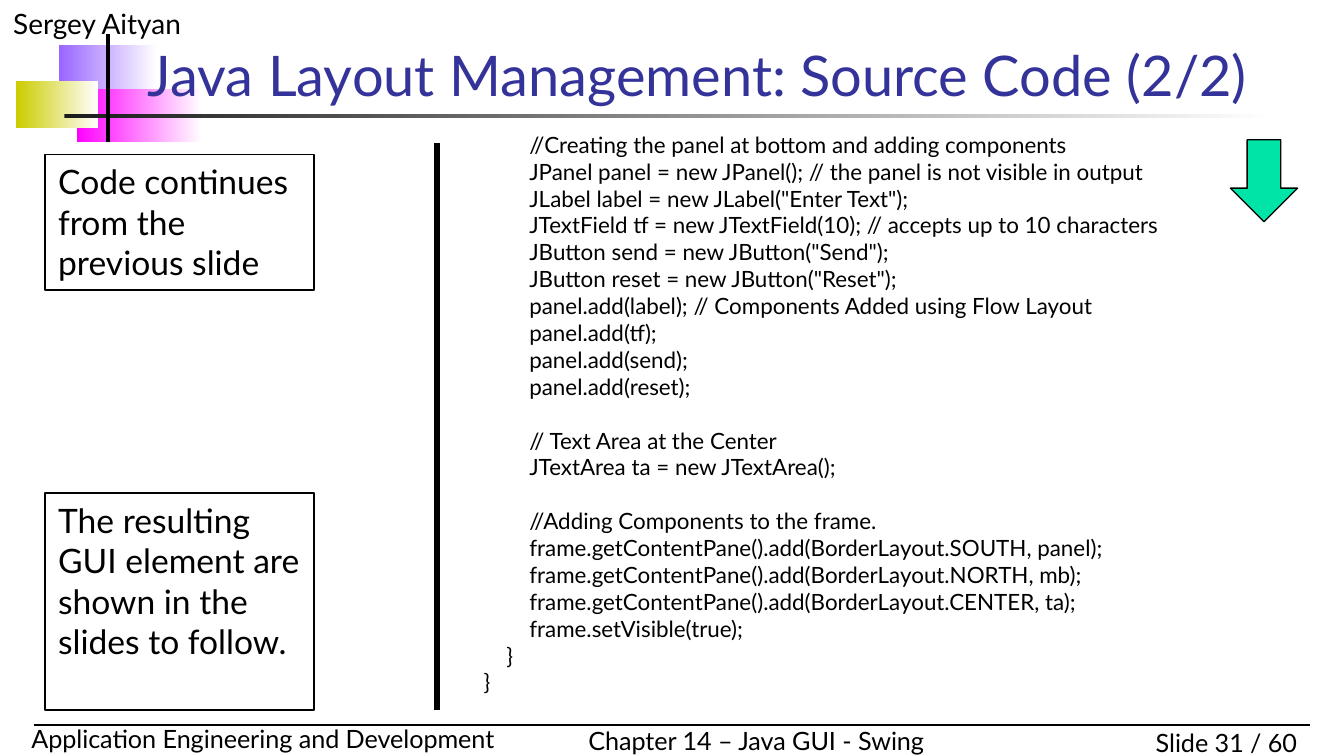
import lxml.etree
import pptx
import pptx.dml.color
import pptx.enum.shapes
import pptx.enum.text
import pptx.oxml.ns
import pptx.util

PX = 4572
FONT = "Lato"
BLACK = pptx.dml.color.RGBColor(0x00, 0x00, 0x00)
WHITE = pptx.dml.color.RGBColor(0xFF, 0xFF, 0xFF)
TITLE_BLUE = pptx.dml.color.RGBColor(0x33, 0x33, 0x99)
VIOLET = pptx.dml.color.RGBColor(0x99, 0x66, 0xFF)
MAGENTA = pptx.dml.color.RGBColor(0xFF, 0x00, 0xFF)
OLIVE = pptx.dml.color.RGBColor(0xCC, 0xCC, 0x00)
CHARCOAL = pptx.dml.color.RGBColor(0x1C, 0x1C, 0x1C)
ARROW_GREEN = pptx.dml.color.RGBColor(0x00, 0xE4, 0xA8)
SHAPES = pptx.enum.shapes.MSO_SHAPE
ALIGN = pptx.enum.text.PP_ALIGN
ANCHOR = pptx.enum.text.MSO_ANCHOR

CODE_BLOCKS = [
    [
        (2, "//Creating the panel at bottom and adding components"),
        (2, "JPanel panel = new JPanel(); // the panel is not visible in output"),
        (2, 'JLabel label = new JLabel("Enter Text");'),
        (2, "JTextField tf = new JTextField(10); // accepts up to 10 characters"),
        (2, 'JButton send = new JButton("Send");'),
        (2, 'JButton reset = new JButton("Reset");'),
        (2, "panel.add(label); // Components Added using Flow Layout"),
        (2, "panel.add(tf);"),
        (2, "panel.add(send);"),
        (2, "panel.add(reset);"),
    ],
    [
        (2, "// Text Area at the Center"),
        (2, "JTextArea ta = new JTextArea();"),
    ],
    [
        (2, "//Adding Components to the frame."),
        (2, "frame.getContentPane().add(BorderLayout.SOUTH, panel);"),
        (2, "frame.getContentPane().add(BorderLayout.NORTH, mb);"),
        (2, "frame.getContentPane().add(BorderLayout.CENTER, ta);"),
        (2, "frame.setVisible(true);"),
        (1, "}"),
        (0, "}"),
    ],
]


def emu(*lengths):
    """Turn px lengths into EMU."""
    return [pptx.util.Emu(length * PX) for length in lengths]


def add_run(paragraph, text, size, color=BLACK):
    """Add one formatted run to a paragraph."""
    run = paragraph.add_run()
    run.text = text
    run.font.name = FONT
    run.font.size = pptx.util.Pt(size)
    run.font.color.rgb = color


def add_text(slide, box, text, size, align=ALIGN.LEFT):
    """Add a wrapping text box with one paragraph and return it."""
    shape = slide.shapes.add_textbox(*emu(*box))
    shape.text_frame.word_wrap = True
    paragraph = shape.text_frame.paragraphs[0]
    paragraph.alignment = align
    add_run(paragraph, text, size)
    return shape


def add_line(slide, start, end, width):
    """Add a straight black line without a shadow."""
    line = slide.shapes.add_connector(
        pptx.enum.shapes.MSO_CONNECTOR.STRAIGHT, *emu(*start, *end))
    line.line.color.rgb = BLACK
    line.line.width = pptx.util.Pt(width)
    properties = line.element.find(pptx.oxml.ns.qn("p:spPr"))
    lxml.etree.SubElement(properties, pptx.oxml.ns.qn("a:effectLst"))


def add_fading_bar(slide, box, color):
    """Add a borderless bar that fades from a colour to white."""
    bar = slide.shapes.add_shape(SHAPES.RECTANGLE, *emu(*box))
    bar.shadow.inherit = False
    bar.line.fill.background()
    bar.fill.gradient()
    bar.fill.gradient_angle = 0
    for stop, stop_color in zip(bar.fill.gradient_stops, (color, WHITE)):
        stop.color.rgb = stop_color


def add_header(slide, left, top):
    """Place the author, the fading bars, the upright rule and the title."""
    for (x, y, width, height), color in (
        ((88, 67, 146, 78), VIOLET),
        ((114, 133, 186, 78), MAGENTA),
        ((24, 121, 122, 70), OLIVE),
        ((96, 170, 1800, 5), CHARCOAL),
    ):
        add_fading_bar(slide, (left + x, top + y, width, height), color)
    add_text(slide, (left, top, 500, 70), "Sergey Aityan", 15)
    add_line(slide, (left + 161, top + 51), (left + 161, top + 211), 2)

    title = slide.shapes.title
    title.left, title.top, title.width, title.height = emu(left + 200, top + 62, 1750, 108)
    frame = title.text_frame
    frame.auto_size = pptx.enum.text.MSO_AUTO_SIZE.NONE
    frame.vertical_anchor = ANCHOR.BOTTOM
    frame.paragraphs[0].alignment = ALIGN.LEFT
    add_run(frame.paragraphs[0], "Java Layout Management: Source Code (2/2)", 30, TITLE_BLUE)
    slide.shapes.element.append(title.element)


def add_footer(slide, left, top, width):
    """Place the footer rule with course, chapter and slide number."""
    add_line(slide, (left, top), (left + width, top), 0.75)
    add_text(slide, (left - 23, top - 12, 740, 66),
             "Application Engineering and Development", 13.5)
    add_text(slide, (left + 806, top - 9, 612, 66), "Chapter 14 – Java GUI - Swing", 13.5)
    add_text(slide, (left + width - 300, top - 6, 300, 66),
             "Slide 31 / 60", 13.5, ALIGN.RIGHT)


def add_code(slide, box):
    """Place the code listing, indented by level and spaced by block."""
    size, indent = 12, 34
    shape = slide.shapes.add_textbox(*emu(*box))
    frame = shape.text_frame
    frame.word_wrap = True
    paragraph = None
    for block in CODE_BLOCKS:
        for index, (level, text) in enumerate(block):
            is_first = paragraph is None
            paragraph = frame.paragraphs[0] if is_first else frame.add_paragraph()
            if index == 0 and not is_first:
                paragraph.space_before = pptx.util.Pt(size * 1.2)
            properties = paragraph._p.get_or_add_pPr()
            properties.set("marL", str(level * indent * PX))
            properties.set("indent", "0")
            add_run(paragraph, text, size)


def add_notes(slide, left, top, bottom):
    """Place the two outlined remarks at the top and bottom of the left column."""
    for y, height, text in (
        (top, 202, "Code continues from the previous slide"),
        (bottom - 323, 323, "The resulting GUI element are shown in the slides to follow."),
    ):
        note = add_text(slide, (left, y, 400, height), text, 18)
        note.line.color.rgb = BLACK
        note.line.width = pptx.util.Pt(1)


def add_down_arrow(slide, box):
    """Place the green arrow pointing down."""
    arrow = slide.shapes.add_shape(SHAPES.DOWN_ARROW, *emu(*box))
    arrow.shadow.inherit = False
    arrow.fill.solid()
    arrow.fill.fore_color.rgb = ARROW_GREEN
    arrow.line.color.rgb = BLACK
    arrow.line.width = pptx.util.Pt(0.75)


def main():
    """Build the slide and save it."""
    presentation = pptx.Presentation()
    presentation.slide_width, presentation.slide_height = emu(2000, 1125)
    slide = presentation.slides.add_slide(presentation.slide_layouts[5])
    add_header(slide, 0, 0)
    add_footer(slide, 50, 1079, 1900)
    add_code(slide, (700, 185, 1230, 756))
    add_notes(slide, 67, 230, 1057)
    add_line(slide, (650, 213), (650, 1057), 3)
    add_down_arrow(slide, (1831, 208, 100, 122))
    presentation.save("out.pptx")


if __name__ == "__main__":
    main()
